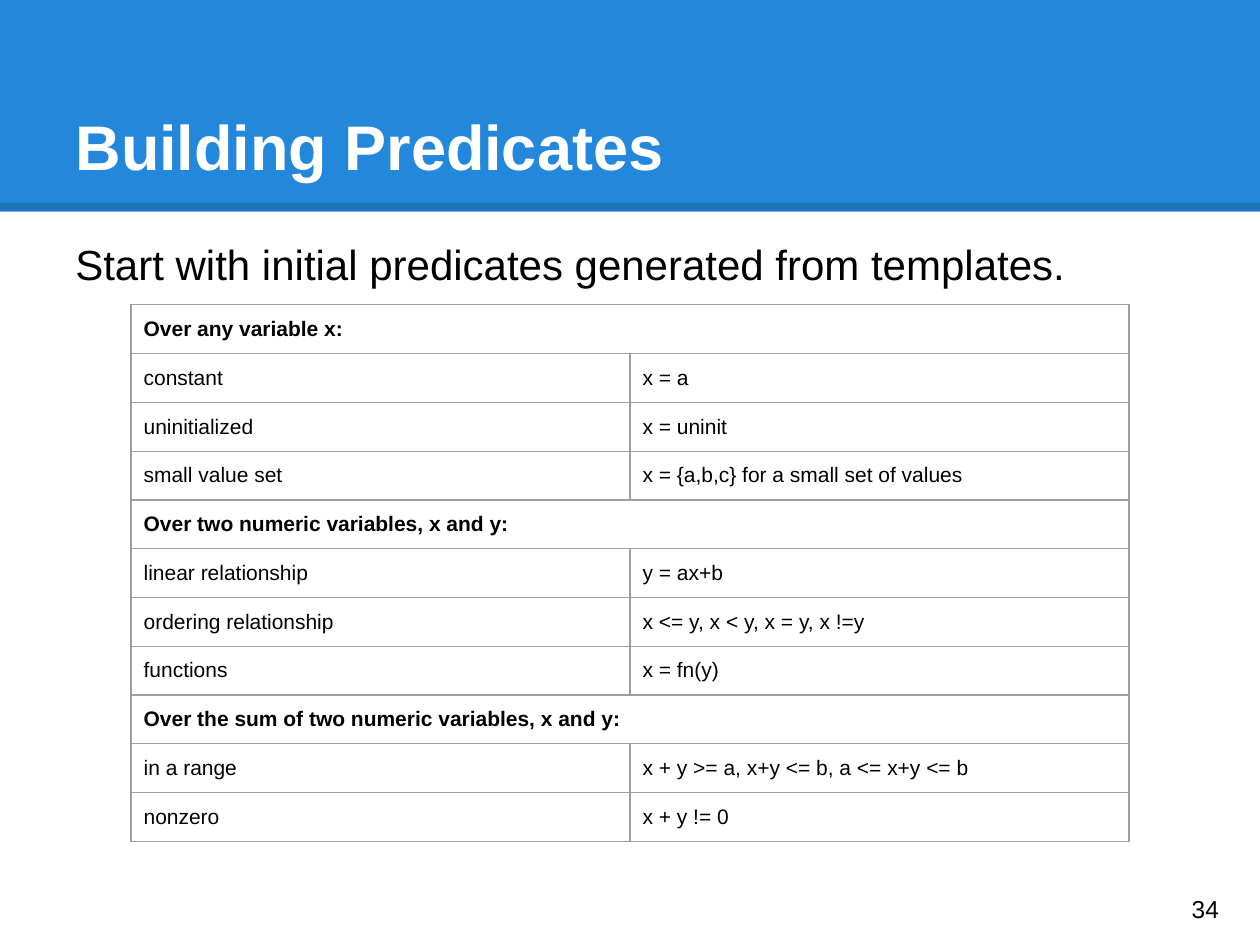
from pptx import Presentation
from pptx.dml.color import RGBColor
from pptx.enum.shapes import MSO_CONNECTOR, MSO_SHAPE
from pptx.enum.text import MSO_ANCHOR, MSO_AUTO_SIZE, PP_ALIGN
from pptx.oxml.ns import qn
from pptx.util import Inches, Pt
from lxml import etree

RECT = MSO_SHAPE.RECTANGLE
LINE = MSO_CONNECTOR.STRAIGHT
TOP, MID, LOW = MSO_ANCHOR.TOP, MSO_ANCHOR.MIDDLE, MSO_ANCHOR.BOTTOM
LEFT = PP_ALIGN.LEFT
NOFIT = MSO_AUTO_SIZE.NONE

COLORS = {"band": "2388DB", "text": "000000", "title": "FFFFFF", "grid": "9E9E9E"}
SIDES = ("a:lnL", "a:lnR", "a:lnT", "a:lnB")

# A row with one entry is a heading across both columns
ROWS = [
    ("Over any variable x:",),
    ("constant", "x = a"),
    ("uninitialized", "x = uninit"),
    ("small value set", "x = {a,b,c} for a small set of values"),
    ("Over two numeric variables, x and y:",),
    ("linear relationship", "y = ax+b"),
    ("ordering relationship", "x <= y, x < y, x = y, x !=y"),
    ("functions", "x = fn(y)"),
    ("Over the sum of two numeric variables, x and y:",),
    ("in a range", "x + y >= a, x+y <= b, a <= x+y <= b"),
    ("nonzero", "x + y != 0"),
]


def color(name):
    return RGBColor.from_string(COLORS[name])


def inches(*nums):
    return [Inches(n) for n in nums]


def assign(item, values):
    for key, value in values.items():
        setattr(item, key, value)


class Deck:
    font = "Arial"
    pad = dict.fromkeys(
        ("margin_left", "margin_top", "margin_right", "margin_bottom"), Inches(0.1))

    def __init__(self, wide, high):
        self.prs = Presentation()
        assign(self.prs, {"slide_width": Inches(wide), "slide_height": Inches(high)})
        self.slide = self.prs.slides.add_slide(self.prs.slide_layouts[5])
        self.shapes = self.slide.shapes

    def label(self, frame, text, size, tint="text", bold=False):
        frame.text = text
        para = frame.paragraphs[0]
        assign(para, {"alignment": LEFT, "space_before": Pt(0)})
        assign(para.runs[0].font, {"name": self.font, "size": Pt(size), "bold": bold})
        para.runs[0].font.color.rgb = color(tint)

    def fit(self, frame, anchor):
        assign(frame, {**self.pad, "word_wrap": True, "auto_size": NOFIT,
                       "vertical_anchor": anchor})

    def band(self, *box):
        shape = self.shapes.add_shape(RECT, *inches(*box))
        shape.shadow.inherit = False
        shape.fill.solid()
        shape.fill.fore_color.rgb = color("band")
        shape.line.fill.background()

    def rule(self, ends, width, alpha):
        line = self.shapes.add_connector(LINE, *inches(*ends))
        line.line.width = Pt(width)
        line.line.color.rgb = color("text")
        props = line.line._get_or_add_ln().getparent()
        tint = props.find(".//" + qn("a:srgbClr"))
        etree.SubElement(tint, qn("a:alpha"), val=str(alpha * 1000))
        etree.SubElement(props, qn("a:effectLst"))

    def title(self, text, box, size):
        shape = self.shapes.title
        assign(shape, dict(zip(("left", "top", "width", "height"), inches(*box))))
        self.fit(shape.text_frame, LOW)
        self.label(shape.text_frame, text, size, "title", True)
        # Bring the title in front of the band
        shape.element.getparent().append(shape.element)

    def text(self, text, box, size, anchor=TOP, top=0.1):
        frame = self.shapes.add_textbox(*inches(*box)).text_frame
        self.fit(frame, anchor)
        frame.margin_top = Inches(top)
        self.label(frame, text, size)

    def border(self, cell, width):
        props = cell._tc.get_or_add_tcPr()
        for spot, side in enumerate(SIDES):
            edge = etree.Element(qn(side), w=str(Pt(width)))
            fill = etree.SubElement(edge, qn("a:solidFill"))
            etree.SubElement(fill, qn("a:srgbClr"), val=COLORS["grid"])
            props.insert(spot, edge)

    def table(self, rows, left, top, col, row, size):
        count = max(map(len, rows))
        grid = self.shapes.add_table(
            len(rows), count, *inches(left, top, col * count, row * len(rows))).table
        assign(grid, {"first_row": False, "horz_banding": False})
        for r, texts in enumerate(rows):
            grid.rows[r].height = Inches(row)
            head = len(texts) == 1
            if head:
                grid.cell(r, 0).merge(grid.cell(r, count - 1))
            for c in range(count):
                cell = grid.cell(r, c)
                assign(cell, self.pad)
                cell.fill.background()
                self.border(cell, 0.75)
                if c < len(texts):
                    self.label(cell.text_frame, texts[c], size, bold=head)


def main():
    deck = Deck(10, 7.5)

    # Header
    deck.band(0, 0, 10, 1.68)
    deck.rule((0, 1.64, 10, 1.64), 4.5, 15)
    deck.title("Building Predicates", (0.5, 0.3, 9, 1.25), 36)

    # Lead sentence and table of templates
    deck.text("Start with initial predicates generated from templates.",
              (0.5, 1.75, 9, 5.43), 24, top=0.14)
    deck.table(ROWS, 1.04, 2.42, 3.96, 0.37, 12)

    # Page number
    deck.text("34", (9.36, 6.93, 0.6, 0.57), 14, MID)

    deck.prs.save("out.pptx")


if __name__ == "__main__":
    main()
